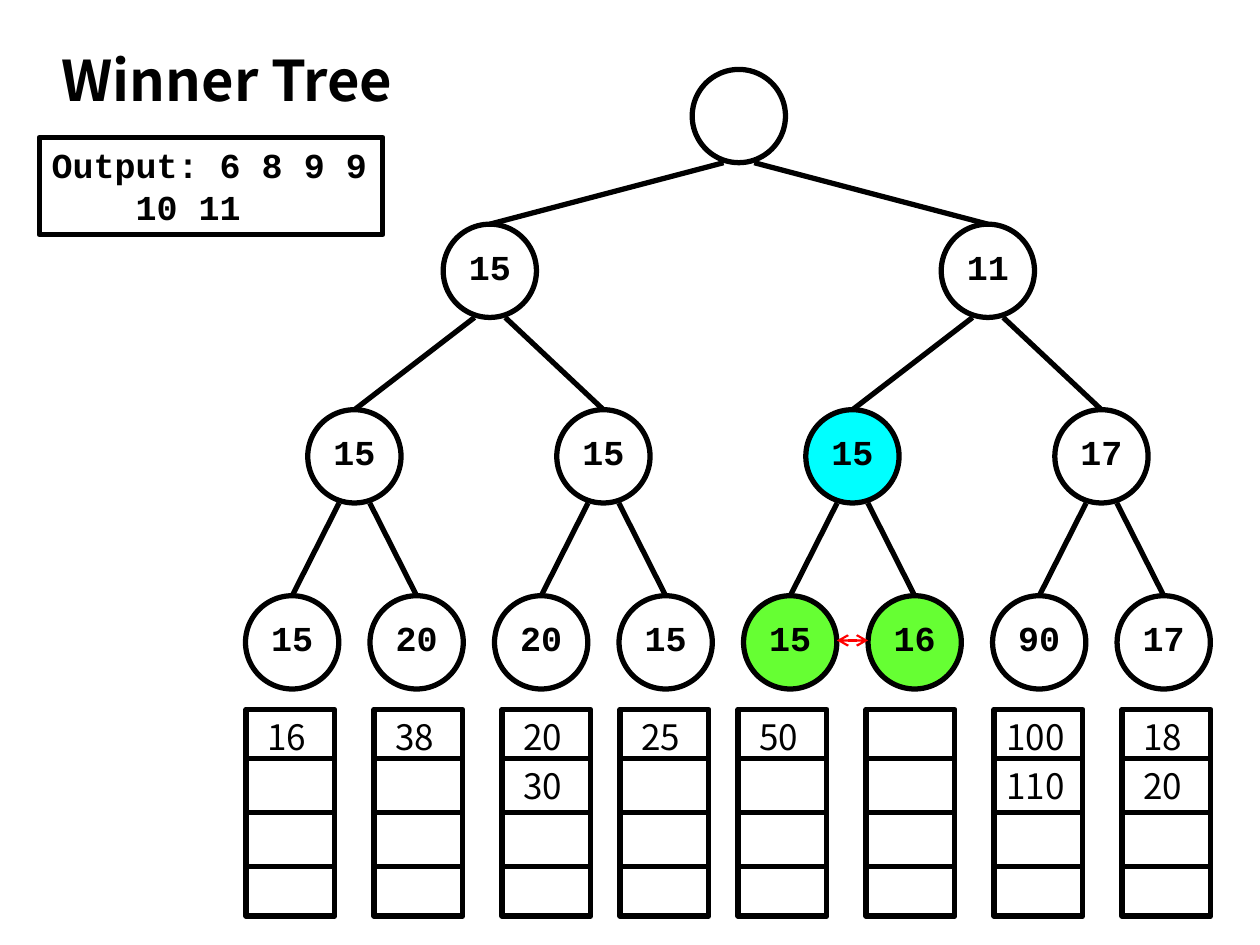
from itertools import accumulate

from lxml import etree
from pptx import Presentation
from pptx.dml.color import RGBColor
from pptx.enum.shapes import MSO_CONNECTOR, MSO_SHAPE
from pptx.enum.text import MSO_ANCHOR, PP_ALIGN
from pptx.oxml.ns import qn
from pptx.util import Cm, Pt

STRAIGHT = MSO_CONNECTOR.STRAIGHT
OVAL, RECTANGLE = MSO_SHAPE.OVAL, MSO_SHAPE.RECTANGLE
LEFT, CENTER = PP_ALIGN.LEFT, PP_ALIGN.CENTER
TOP = MSO_ANCHOR.TOP

MONO, SANS = "Courier New", "Noto Sans CJK KR"
BLACK, RED, GREEN, CYAN = "000000", "FF0000", "66FF33", "00FFFF"

NODE_SIZE = 1.88
LEVEL_TOPS = [1.4, 4.52, 8.26, 12.01]
LEVEL_LABELS = [
    [""],
    ["15", "11"],
    ["15", "15", "15", "17"],
    ["15", "20", "20", "15", "15", "16", "90", "17"],
]
NODE_FILLS = {(2, 2): CYAN, (3, 4): GREEN, (3, 5): GREEN}
QUEUES = [["16"], ["38"], ["20", "30"], ["25"], ["50"], [], ["100", "110"], ["18", "20"]]
QUEUE_STEPS = [2.58, 2.58, 2.38, 2.38, 2.58, 2.58, 2.58]


def color(value):
    """Return the colour for a hex string."""
    return RGBColor.from_string(value)


def add_line(page, start, end, line_color=BLACK, width=3):
    """Draw a straight line between two points in centimetres."""
    line = page.shapes.add_connector(STRAIGHT, *map(Cm, start + end))
    line.line.color.rgb = color(line_color)
    line.line.width = Pt(width)
    etree.SubElement(line._element.spPr, qn("a:effectLst"))
    return line


def add_outline(page, kind, box, fill=None):
    """Draw a black outlined shape with an optional fill."""
    shape = page.shapes.add_shape(kind, *map(Cm, box))
    shape.shadow.inherit = False
    if fill:
        shape.fill.solid()
        shape.fill.fore_color.rgb = color(fill)
    else:
        shape.fill.background()
    shape.line.color.rgb = color(BLACK)
    shape.line.width = Pt(3)
    return shape


def style_paragraph(para, font, size=20, bold=False, align=LEFT):
    """Align a paragraph and format its runs."""
    para.alignment = align
    for span in para.runs:
        span.font.name = font
        span.font.size = Pt(size)
        span.font.bold = bold
        span.font.color.rgb = color(BLACK)


def add_text(page, box, text, font, **style):
    """Place one line of text in a box."""
    frame = page.shapes.add_textbox(*map(Cm, box)).text_frame
    frame.word_wrap = True
    frame.text = text
    style_paragraph(frame.paragraphs[0], font, **style)


def add_node(page, center, top, label, fill):
    """Draw a tree node with its label."""
    left = center - NODE_SIZE / 2
    add_outline(page, OVAL, (left, top, NODE_SIZE, NODE_SIZE), fill)
    if label:
        add_text(page, (left, top + 0.3, NODE_SIZE, 1.12), label, MONO, bold=True, align=CENTER)


def level_centers(first_leaf, leaf_step):
    """Return node centres from root to leaves, each parent midway over its children."""
    levels = [[first_leaf + leaf_step * index for index in range(8)]]
    for shift in (0, 0.22, 0):
        below = levels[0]
        levels.insert(0, [(a + b) / 2 + shift for a, b in zip(below[::2], below[1::2])])
    return levels


def add_tree(page, first_leaf, leaf_step):
    """Draw the nodes, the branches and the arrow between the compared leaves."""
    levels = level_centers(first_leaf, leaf_step)
    for depth, (centers, top) in enumerate(zip(levels, LEVEL_TOPS)):
        for index, center in enumerate(centers):
            add_node(page, center, top, LEVEL_LABELS[depth][index], NODE_FILLS.get((depth, index)))
            if depth:
                side = 0.31 if index % 2 else -0.31
                parent = levels[depth - 1][index // 2] + side
                add_line(page, (center, top), (parent, LEVEL_TOPS[depth - 1] + NODE_SIZE))
    middle = LEVEL_TOPS[3] + 0.9
    start, end = levels[3][4] + NODE_SIZE / 2, levels[3][5] - NODE_SIZE / 2
    arrow = add_line(page, (start, middle), (end, middle), RED, 1.25)
    outline = arrow.line._get_or_add_ln()
    for tag in ("a:headEnd", "a:tailEnd"):
        etree.SubElement(outline, qn(tag), type="arrow")


def add_queue(page, box, values):
    """Draw a four-cell queue with its waiting values."""
    left, top, width, height = box
    add_outline(page, RECTANGLE, box)
    for row in range(3):
        y = top + 0.99 + 1.09 * row
        add_line(page, (left, y), (left + width, y))
    for row, value in enumerate(values):
        inset = 0.18 if len(value) < 3 else 0
        add_text(page, (left + inset, top + 0.99 * row, width - 2 * inset, 1.12), value, SANS)


def add_output(page, box):
    """Draw the box with the output so far."""
    frame = add_outline(page, RECTANGLE, box).text_frame
    frame.word_wrap = False
    frame.vertical_anchor = TOP
    frame.text = "Output: 6 8 9 9\n10 11"
    for para in frame.paragraphs:
        style_paragraph(para, MONO, bold=True)
    frame.paragraphs[1]._p.get_or_add_pPr().set("marL", str(Pt(48)))


def main():
    """Build the winner tree slide."""
    deck = Presentation()
    deck.slide_width, deck.slide_height = Cm(25.4), Cm(19.05)
    page = deck.slides.add_slide(deck.slide_layouts[6])
    add_tree(page, 5.89, 2.51)
    for left, values in zip(accumulate(QUEUE_STEPS, initial=4.96), QUEUES):
        add_queue(page, (left, 14.3, 1.79, 4.17), values)
    add_text(page, (0.99, 0.79, 8.53, 1.63), "Winner Tree", SANS, size=32, bold=True)
    add_output(page, (0.79, 2.77, 6.93, 1.96))
    deck.save("out.pptx")


if __name__ == "__main__":
    main()
